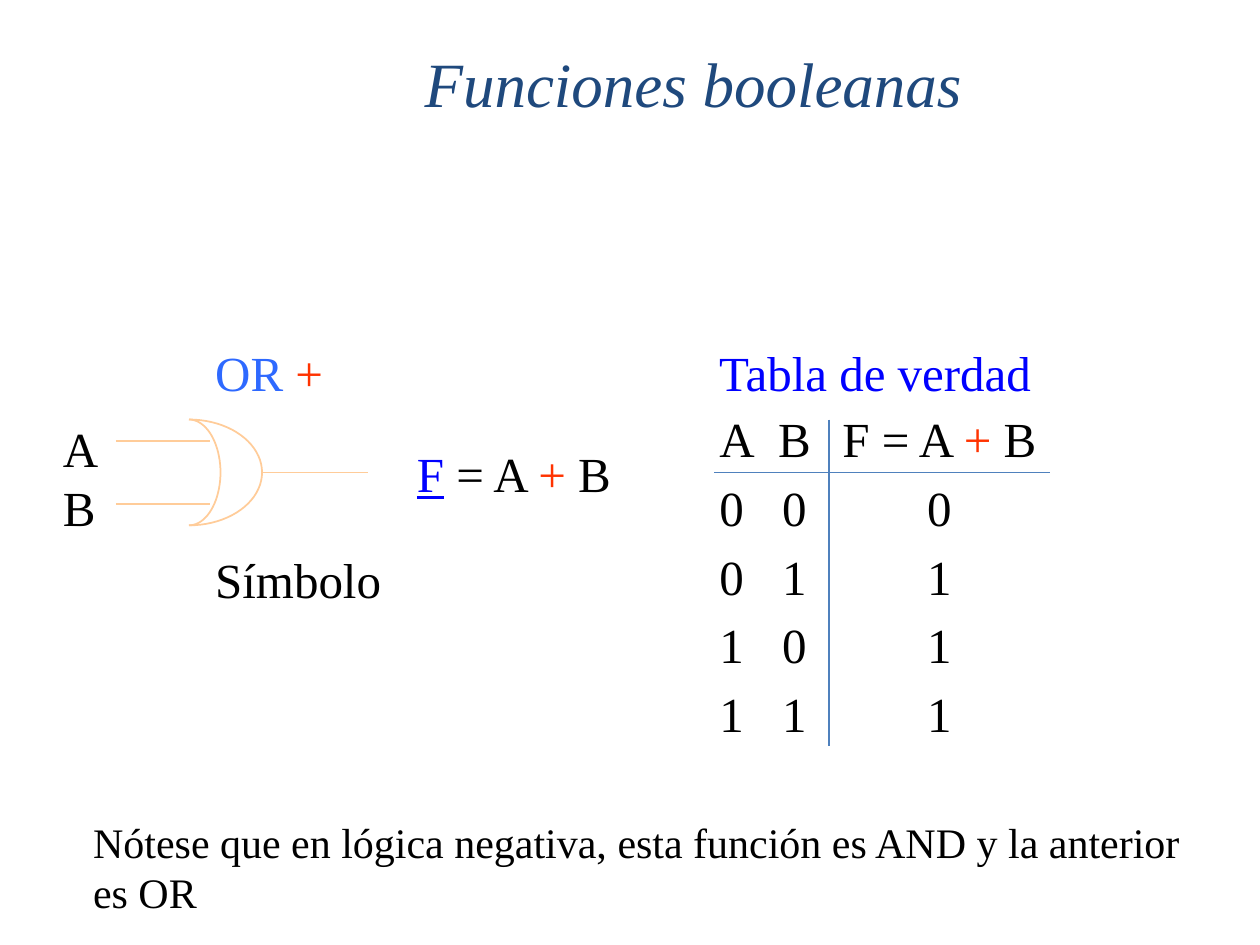
from math import cos, pi, sin

from lxml.etree import SubElement
from pptx import Presentation
from pptx.dml.color import RGBColor
from pptx.enum.shapes import MSO_CONNECTOR as Connector
from pptx.enum.text import MSO_ANCHOR as Anchor, MSO_AUTO_SIZE as AutoSize, PP_ALIGN as Align
from pptx.oxml.ns import qn
from pptx.util import Inches, Pt

FONT = "Times New Roman"
BLACK, NAVY, SKY, BLUE = "000000", "1F497D", "2E69FF", "0000FF"
RED, PEACH, STEEL = "FF3300", "FFCC99", "4F81BD"

# Content: each paragraph is a list of (text, colour) spans
TITLE = [[("Funciones booleanas", NAVY)]]
SUM = [(" = A ", BLACK), ("+", RED), (" B", BLACK)]
LABELS = [  # left, top, width, height, size, paragraphs
    (1.61, 2.67, 1.2, 0.57, 28, [[("OR ", SKY), ("+", RED)]]),
    (5.61, 2.67, 2.8, 0.57, 28, [[("Tabla de verdad", BLUE)]]),
    (1.61, 4.31, 1.6, 0.57, 28, [[("Símbolo", BLACK)]]),
    (3.21, 3.47, 1.78, 0.57, 28, [[("F", BLUE)] + SUM]),
    (0.4, 3.27, 0.48, 1.03, 28, [[("A", BLACK)], [("B", BLACK)]]),
    (0.64, 6.43, 8.99, 0.91, 24, [
        [("Nótese que en lógica negativa, esta función es AND y la anterior", BLACK)],
        [("es OR", BLACK)],
    ]),
]
TRUTH_HEAD = [[("A", BLACK)], [("B", BLACK)], [("F", BLACK)] + SUM]
TRUTH_ROWS = [(a, b, a | b) for a in (0, 1) for b in (0, 1)]

# Geometry
TABLE_LEFT, TABLE_TOP, ROW_HEIGHT = 5.67, 3.23, 0.545
COLUMN_WIDTHS = (0.36, 0.55, 1.75)
GATE_LEFT, GATE_MIDDLE, GATE_RADIUS = 1.5, 3.75, 0.42
GATE_ARCS = (0.58, 0.25)  # horizontal radius of the front and back curves
LINES = [  # from x, from y, to x, to y, colour
    (5.67, 3.75, 8.33, 3.75, STEEL),
    (6.58, 3.33, 6.58, 5.92, STEEL),
    (2.08, 3.75, 2.92, 3.75, PEACH),
    (0.92, 4, 1.67, 4, PEACH),
    (0.92, 3.5, 1.67, 3.5, PEACH),
]


def color(value):
    return RGBColor.from_string(value)


def write(frame, paragraphs, size, align=Align.LEFT, italic=False):
    for index, spans in enumerate(paragraphs):
        para = frame.paragraphs[0] if index == 0 else frame.add_paragraph()
        para.alignment = align
        for text, tint in spans:
            span = para.add_run()
            span.text = text
            font = span.font
            font.name, font.size, font.italic = FONT, Pt(size), italic
            font.color.rgb = color(tint)


def place(shape, left, top, width, height):
    shape.left, shape.top = Inches(left), Inches(top)
    shape.width, shape.height = Inches(width), Inches(height)


def stroke(shape, tint):
    shape.line.color.rgb = color(tint)
    shape.line.width = Pt(1)


deck = Presentation()
deck.slide_width, deck.slide_height = Inches(10), Inches(7.5)
page = deck.slides.add_slide(deck.slide_layouts[5])

# Title
title = page.shapes.title
place(title, 3.27, 0.3, 4.47, 0.7)
frame = title.text_frame
frame.word_wrap, frame.auto_size = False, AutoSize.NONE
frame.vertical_anchor = Anchor.TOP
write(frame, TITLE, 36, italic=True)

# Labels, formula and note
for left, top, width, height, size, paragraphs in LABELS:
    box = page.shapes.add_textbox(*map(Inches, (left, top, width, height)))
    box.text_frame.word_wrap = False
    write(box.text_frame, paragraphs, size)
    first = box.text_frame.paragraphs[0].runs[0]
    if first.text == "F":
        first.font.underline = True

# Truth table
rows = [TRUTH_HEAD] + [[[(str(bit), BLACK)] for bit in row] for row in TRUTH_ROWS]
table = page.shapes.add_table(
    len(rows), len(COLUMN_WIDTHS), Inches(TABLE_LEFT), Inches(TABLE_TOP),
    Inches(sum(COLUMN_WIDTHS)), Inches(ROW_HEIGHT * len(rows))).table
table.first_row = table.horz_banding = False
for column, width in zip(table.columns, COLUMN_WIDTHS):
    column.width = Inches(width)
for r, row in enumerate(rows):
    table.rows[r].height = Inches(ROW_HEIGHT)
    for c, spans in enumerate(row):
        cell = table.cell(r, c)
        cell.fill.background()
        cell.margin_top = cell.margin_bottom = cell.margin_right = 0
        cell.margin_left = Inches(0 if c else 0.04)
        cell.vertical_anchor = Anchor.MIDDLE
        write(cell.text_frame, [spans], 28, Align.CENTER if c else Align.LEFT)

# Table rules and gate wires
for x1, y1, x2, y2, tint in LINES:
    line = page.shapes.add_connector(Connector.STRAIGHT, *map(Inches, (x1, y1, x2, y2)))
    stroke(line, tint)
    SubElement(line.element.spPr, qn("a:effectLst"))

# Gate outline: two half ellipses
STEPS = 40
for radius in GATE_ARCS:
    angles = [pi * step / STEPS - pi / 2 for step in range(STEPS + 1)]
    points = [(Inches(GATE_LEFT + radius * cos(angle)),
               Inches(GATE_MIDDLE + GATE_RADIUS * sin(angle))) for angle in angles]
    builder = page.shapes.build_freeform(*points[0])
    builder.add_line_segments(points[1:], close=False)
    arc = builder.convert_to_shape()
    arc.fill.background()
    arc.shadow.inherit = False
    stroke(arc, PEACH)

deck.save("out.pptx")
